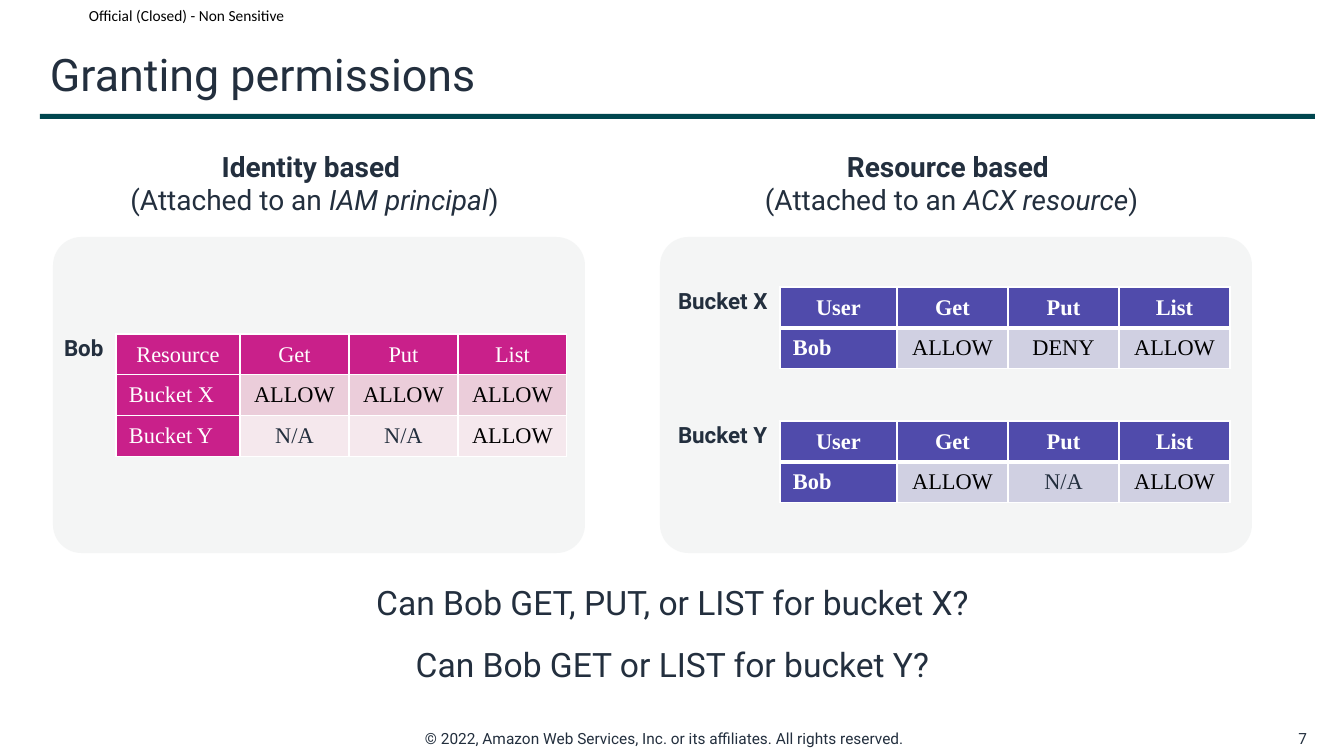
import pptx
import pptx.dml.color
import pptx.enum.shapes
import pptx.enum.text
import pptx.oxml
import pptx.oxml.ns
import pptx.util

SHAPE = pptx.enum.shapes.MSO_SHAPE
ANCHOR = pptx.enum.text.MSO_ANCHOR
ALIGN = pptx.enum.text.PP_ALIGN

INK, WHITE, BLACK = "232F3E", "FFFFFF", "000000"
TEAL, PANEL = "00464F", "F1F3F3"
PINK, PINK_TINTS = "C9208A", ["EBCDDA", "F5E8ED"]
PURPLE, PURPLE_TINTS = "504BAB", ["D0D0E2"]


def px(length):
    return pptx.util.Emu(round(length * 914400 / 100.8))


def color(value):
    return pptx.dml.color.RGBColor.from_string(value)


class Page:
    body_font = "Roboto"
    table_font = "Times New Roman"

    def __init__(self, deck):
        self.shapes = deck.slides.add_slide(deck.slide_layouts[6]).shapes

    def style(self, para, size, ink, bold=False, font=None, align=ALIGN.LEFT):
        para.alignment = align
        para.font.name = font or self.body_font
        para.font.size = pptx.util.Pt(size)
        para.font.bold = bold
        para.font.color.rgb = color(ink)

    def text(self, left, top, width, height, content, size, ink=INK, bold=False,
             font=None, align=ALIGN.LEFT, anchor=ANCHOR.TOP, inset=(10, 5, 10, 5), wrap=True):
        frame = self.shapes.add_textbox(px(left), px(top), px(width), px(height)).text_frame
        frame.word_wrap = wrap
        frame.vertical_anchor = anchor
        (frame.margin_left, frame.margin_top,
         frame.margin_right, frame.margin_bottom) = map(px, inset)
        para = frame.paragraphs[0]
        para.text = content
        self.style(para, size, ink, bold, font, align)
        return frame

    def heading(self, left, kind, target):
        frame = self.text(left, 144, 413, 78, kind + " based ", 20, bold=True,
                          align=ALIGN.CENTER, inset=(0, 5, 10, 5))
        para = frame.add_paragraph()
        self.style(para, 20, INK, align=ALIGN.CENTER)
        for words, italic in (("(Attached to an ", False), (target, True), (")", False)):
            span = para.add_run()
            span.text = words
            span.font.italic = italic

    def label(self, left, top, width, content):
        self.text(left, top, width, 27, content, 16, bold=True, inset=(0, 0, 0, 0), wrap=False)

    def box(self, kind, left, top, width, height, fill):
        box = self.shapes.add_shape(kind, px(left), px(top), px(width), px(height))
        box.shadow.inherit = False
        box.fill.solid()
        box.fill.fore_color.rgb = color(fill)
        box.line.fill.background()
        return box

    def panel(self, left, width):
        panel = self.box(SHAPE.ROUNDED_RECTANGLE, left, 237, width, 316, PANEL)
        panel.adjustments[0] = 0.09
        shade = panel.fill._xPr.find(".//" + pptx.oxml.ns.qn("a:srgbClr"))
        shade.append(pptx.oxml.parse_xml(
            f'<a:alpha {pptx.oxml.ns.nsdecls("a")} val="77000"/>'))

    def borders(self, cell, top, bottom):
        sides = (("lnL", 1), ("lnR", 1), ("lnT", top), ("lnB", bottom))
        for place, (side, weight) in enumerate(sides):
            cell._tc.get_or_add_tcPr().insert(place, pptx.oxml.parse_xml(
                f'<a:{side} {pptx.oxml.ns.nsdecls("a")} w="{weight * 12700}"><a:solidFill>'
                f'<a:srgbClr val="{WHITE}"/></a:solidFill></a:{side}>'))

    def table(self, left, top, widths, rows, accent, tints, bold, rule):
        grid = self.shapes.add_table(len(rows), len(widths), px(left), px(top),
                                     px(sum(widths)), px(40 * len(rows))).table
        grid.horz_banding = False
        for column, width in zip(grid.columns, widths):
            column.width = px(width)
        for r, row in enumerate(rows):
            grid.rows[r].height = px(40)
            for c, value in enumerate(row):
                cell = grid.cell(r, c)
                accented = r == 0 or c == 0
                cell.fill.solid()
                cell.fill.fore_color.rgb = color(accent if accented else tints[r - 1])
                self.borders(cell, rule if r == 1 else 1, rule if r == 0 else 1)
                cell.vertical_anchor = ANCHOR.MIDDLE
                cell.margin_left = cell.margin_right = px(13)
                cell.margin_top = cell.margin_bottom = px(7)
                para = cell.text_frame.paragraphs[0]
                para.text = value
                ink = WHITE if accented else INK if value == "N/A" else BLACK
                self.style(para, 16, ink, bold and accented, self.table_font,
                           ALIGN.LEFT if r and c == 0 else ALIGN.CENTER)


def main():
    deck = pptx.Presentation()
    deck.slide_width, deck.slide_height = px(1344), px(756)
    page = Page(deck)
    actions = ["Get", "Put", "List"]

    # Classification, title and footer
    page.text(89, 0, 214, 31, "Official (Closed) - Non Sensitive", 11, BLACK,
              font="Calibri", anchor=ANCHOR.MIDDLE, inset=(0, 0, 0, 0))
    page.text(415, 724, 513, 29, "© 2022, Amazon Web Services, Inc. or its affiliates. "
              "All rights reserved.", 11, wrap=False)
    page.box(SHAPE.RECTANGLE, 40, 114, 1275, 5, TEAL)
    page.text(1264, 724, 53, 29, "7", 11, align=ALIGN.RIGHT, anchor=ANCHOR.MIDDLE)
    page.text(40, 33, 1275, 81, "Granting permissions", 32, anchor=ANCHOR.MIDDLE)

    # Identity-based permissions
    page.heading(113, "Identity", "IAM principal")
    page.panel(53, 532)
    page.label(64, 334, 41, "Bob")
    page.table(116, 334, [124, 109, 109, 109],
               [["Resource"] + actions,
                ["Bucket X", "ALLOW", "ALLOW", "ALLOW"],
                ["Bucket Y", "N/A", "N/A", "ALLOW"]],
               PINK, PINK_TINTS, bold=False, rule=1)

    # Resource-based permissions
    page.heading(750, "Resource", "ACX resource")
    page.panel(660, 592)
    for top, bucket, put in ((287, "Bucket X", "DENY"), (421, "Bucket Y", "N/A")):
        page.label(678, top, 93, bucket)
        page.table(780, top, [117, 111, 111, 111],
                   [["User"] + actions, ["Bob", "ALLOW", put, "ALLOW"]],
                   PURPLE, PURPLE_TINTS, bold=True, rule=3)

    # Questions
    questions = ("Can Bob GET, PUT, or LIST for bucket X?", "Can Bob GET or LIST for bucket Y?")
    for index, question in enumerate(questions):
        page.text(335, 577 + 62 * index, 675, 50, question, 24, align=ALIGN.CENTER)

    deck.save("out.pptx")


if __name__ == "__main__":
    main()
